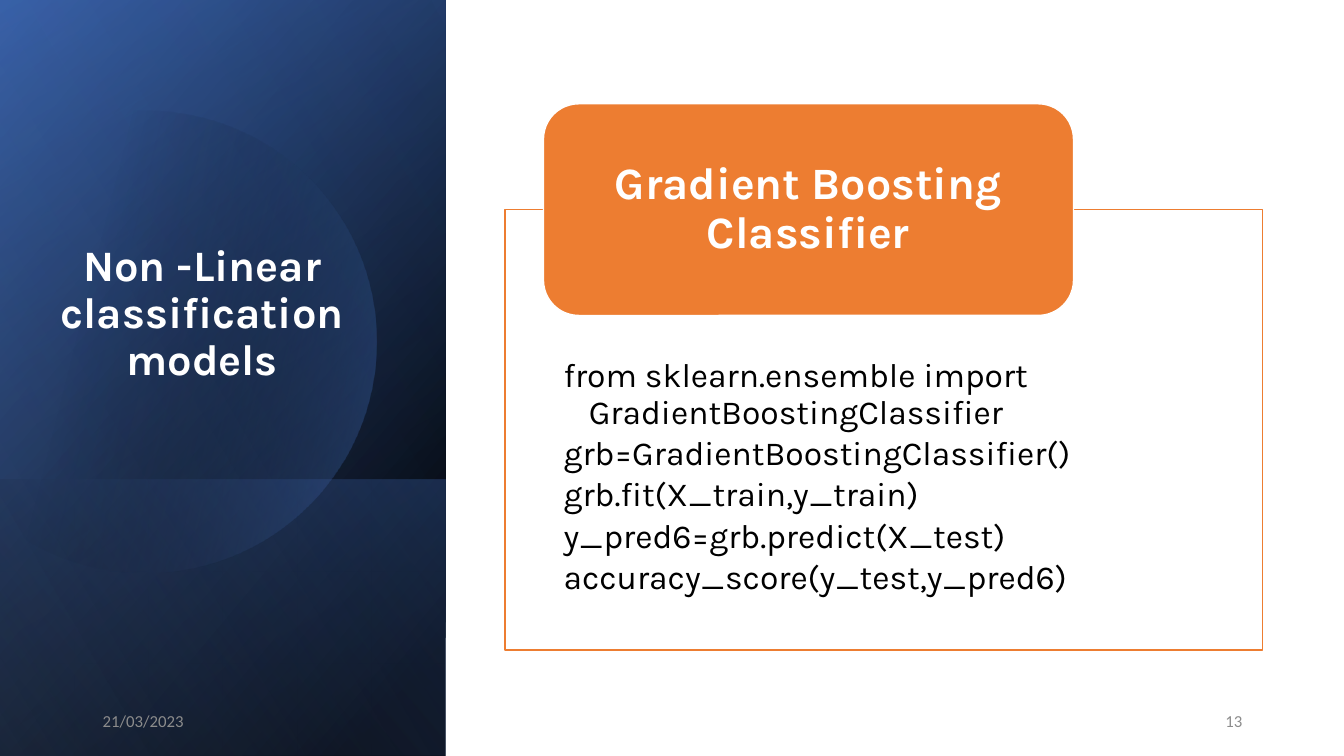
from dataclasses import dataclass
from math import cos, radians, sin

from lxml.etree import SubElement
from pptx import Presentation
from pptx.dml.color import RGBColor
from pptx.enum.shapes import MSO_SHAPE as Shape
from pptx.enum.text import MSO_ANCHOR as Anchor, MSO_AUTO_SIZE as AutoSize, PP_ALIGN as Align
from pptx.oxml.ns import qn
from pptx.util import Inches, Pt


@dataclass(frozen=True)
class Theme:
    """Colours, fonts and type sizes of the slide."""
    white: str = "FFFFFF"
    black: str = "000000"
    blue: str = "4472C4"
    deep_blue: str = "2F5597"
    pale_blue: str = "8FAADC"
    orange: str = "ED7D31"
    grey: str = "8C8C8C"
    font: str = "Karla"
    footer_font: str = "Calibri"
    title_size: float = 31
    header_size: float = 32
    code_size: float = 24
    footer_size: float = 12


THEME = Theme()
CODE = [
    "from sklearn.ensemble import GradientBoostingClassifier",
    "grb=GradientBoostingClassifier()",
    "grb.fit(X_train,y_train)",
    "y_pred6=grb.predict(X_test)",
    "accuracy_score(y_test,y_pred6)",
]


def write(shape, lines, size, color, font=THEME.font, bold=False, align=Align.LEFT,
          anchor=Anchor.TOP, insets=(0.1, 0.05, 0.1, 0.05), spacing=0.9, after=0, hanging=0):
    """Fill a shape with formatted paragraphs."""
    frame = shape.text_frame
    frame.word_wrap = True
    frame.auto_size = AutoSize.NONE
    frame.vertical_anchor = anchor
    frame.margin_left, frame.margin_top, frame.margin_right, frame.margin_bottom = map(Inches, insets)
    for index, line in enumerate(lines):
        para = frame.add_paragraph() if index else frame.paragraphs[0]
        para.alignment = align
        para.line_spacing = spacing
        para.space_before = Pt(0)
        para.space_after = Pt(after)
        if hanging:
            properties = para._p.get_or_add_pPr()
            properties.set("marL", str(Inches(hanging)))
            properties.set("indent", str(-Inches(hanging)))
        span = para.add_run()
        span.text = line
        span.font.name = font
        span.font.size = Pt(size)
        span.font.bold = bold
        span.font.color.rgb = RGBColor.from_string(color)


def add_box(page, kind, box, fill, line):
    """Add a filled and outlined shape without a shadow."""
    shape = page.shapes.add_shape(kind, *map(Inches, box))
    shape.shadow.inherit = False
    shape.fill.solid()
    shape.fill.fore_color.rgb = RGBColor.from_string(fill)
    shape.line.color.rgb = RGBColor.from_string(line)
    shape.line.width = Pt(1)
    return shape


def set_gradient(shape, stops, angle):
    """Give a shape a linear gradient of (position, colour, opacity) stops and no line."""
    shape.shadow.inherit = False
    shape.line.fill.background()
    shape.fill.gradient()
    gradient = shape._element.spPr.find(qn("a:gradFill"))
    for child in list(gradient):
        gradient.remove(child)
    gradient.set("rotWithShape", "1")
    stop_list = SubElement(gradient, qn("a:gsLst"))
    for position, color, opacity in stops:
        stop = SubElement(stop_list, qn("a:gs"), pos=str(position * 1000))
        value = SubElement(stop, qn("a:srgbClr"), val=color)
        if opacity < 100:
            SubElement(value, qn("a:alpha"), val=str(opacity * 1000))
    SubElement(gradient, qn("a:lin"), ang=str(angle * 60000), scaled="0")


def add_layer(page, box, stops, angle):
    """Cover a box with a gradient rectangle turned a quarter and mirrored."""
    left, top, width, height = box
    shape = page.shapes.add_shape(
        Shape.RECTANGLE, Inches(left + (width - height) / 2),
        Inches(top + (height - width) / 2), Inches(height), Inches(width))
    shape.rotation = 90
    shape._element.spPr.find(qn("a:xfrm")).set("flipH", "1")
    set_gradient(shape, stops, angle)


def add_disc(page, center, radius, opening):
    """Add a glowing disc whose left side is cut straight."""
    steps = 90
    start, sweep = opening - 180, 360 - 2 * opening
    angles = [radians(start + sweep * step / steps) for step in range(steps + 1)]
    points = [(Inches(center[0] + radius * cos(angle)), Inches(center[1] + radius * sin(angle)))
              for angle in angles]
    builder = page.shapes.build_freeform(*points[0])
    builder.add_line_segments(points[1:], close=True)
    set_gradient(builder.convert_to_shape(), [(29, THEME.black, 0), (100, THEME.blue, 43)], 14)


def add_panel(page, box):
    """Build the dark side panel with the slide title."""
    left, top, width, height = box
    base = 2.74
    add_layer(page, box, [(8, THEME.black, 100), (100, THEME.deep_blue, 100)], 50)
    add_layer(page, box, [(0, THEME.black, 0), (99, THEME.blue, 46)], 30)
    add_layer(page, (left, top + height - base, width, base),
              [(2, THEME.blue, 29), (100, THEME.black, 30)], 130)
    add_disc(page, (left + 1.44, top + 3.39), 2.29, 46)
    add_layer(page, box, [(0, THEME.black, 0), (99, THEME.pale_blue, 11)], 120)
    title = page.shapes.title
    title.left, title.top, title.width, title.height = map(Inches, (left, top + 0.64, 4.01, 3.7))
    write(title, ["Non -Linear classification models"], THEME.title_size, THEME.white, bold=True,
          align=Align.CENTER, anchor=Anchor.BOTTOM, insets=(0.1, 0.05, 0.1, 0.52))
    title._element.getparent().append(title._element)


def add_card(page, box):
    """Build the outlined code card with its overlapping header."""
    left, top, width, height = box
    header_height = 2.1
    frame = add_box(page, Shape.RECTANGLE, box, THEME.white, THEME.orange)
    write(frame, CODE, THEME.code_size, THEME.black, insets=(0.58, 1.48, 0.58, 0.19),
          after=3.6, hanging=0.25)
    header = add_box(page, Shape.ROUNDED_RECTANGLE,
                     (left + 0.38, top - header_height / 2, width * 0.7, header_height),
                     THEME.orange, THEME.white)
    write(header, ["Gradient Boosting Classifier"], THEME.header_size, THEME.white, bold=True,
          align=Align.CENTER, anchor=Anchor.MIDDLE, insets=(0.3, 0.1, 0.3, 0.1))


def add_footer(page, box):
    """Place the page number and date at the ends of the footer."""
    left, top, width, height = box
    part = 3
    for text, start, align in (("13", left + width - part, Align.RIGHT),
                               ("21/03/2023", left, Align.LEFT)):
        note = page.shapes.add_textbox(*map(Inches, (start, top, part, height)))
        write(note, [text], THEME.footer_size, THEME.grey, font=THEME.footer_font,
              align=align, anchor=Anchor.MIDDLE, spacing=1.0)


def main():
    """Build and save the deck."""
    deck = Presentation()
    deck.slide_width, deck.slide_height = Inches(13.33), Inches(7.5)
    page = deck.slides.add_slide(deck.slide_layouts[5])
    add_panel(page, (0, 0, 4.42, 7.5))
    add_card(page, (5.01, 2.08, 7.51, 4.37))
    add_footer(page, (0.92, 6.95, 11.5, 0.4))
    deck.save("out.pptx")


if __name__ == "__main__":
    main()
